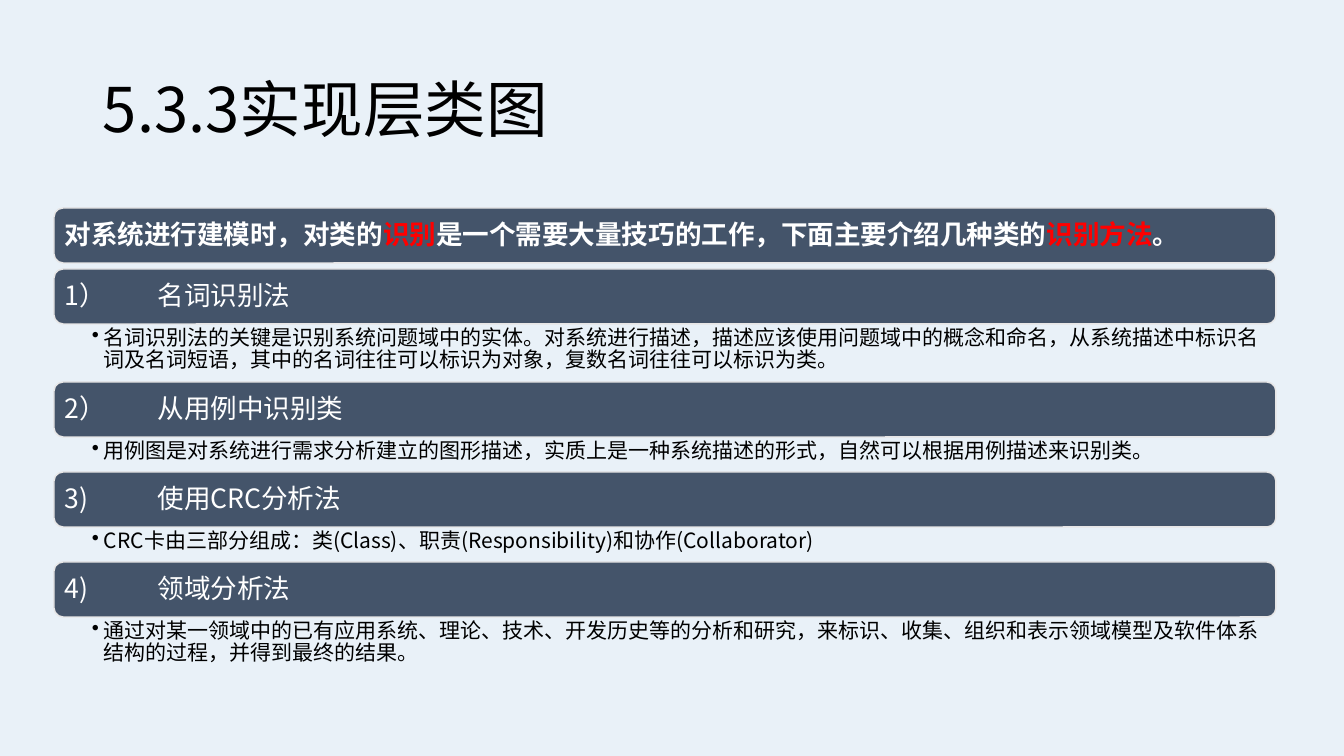
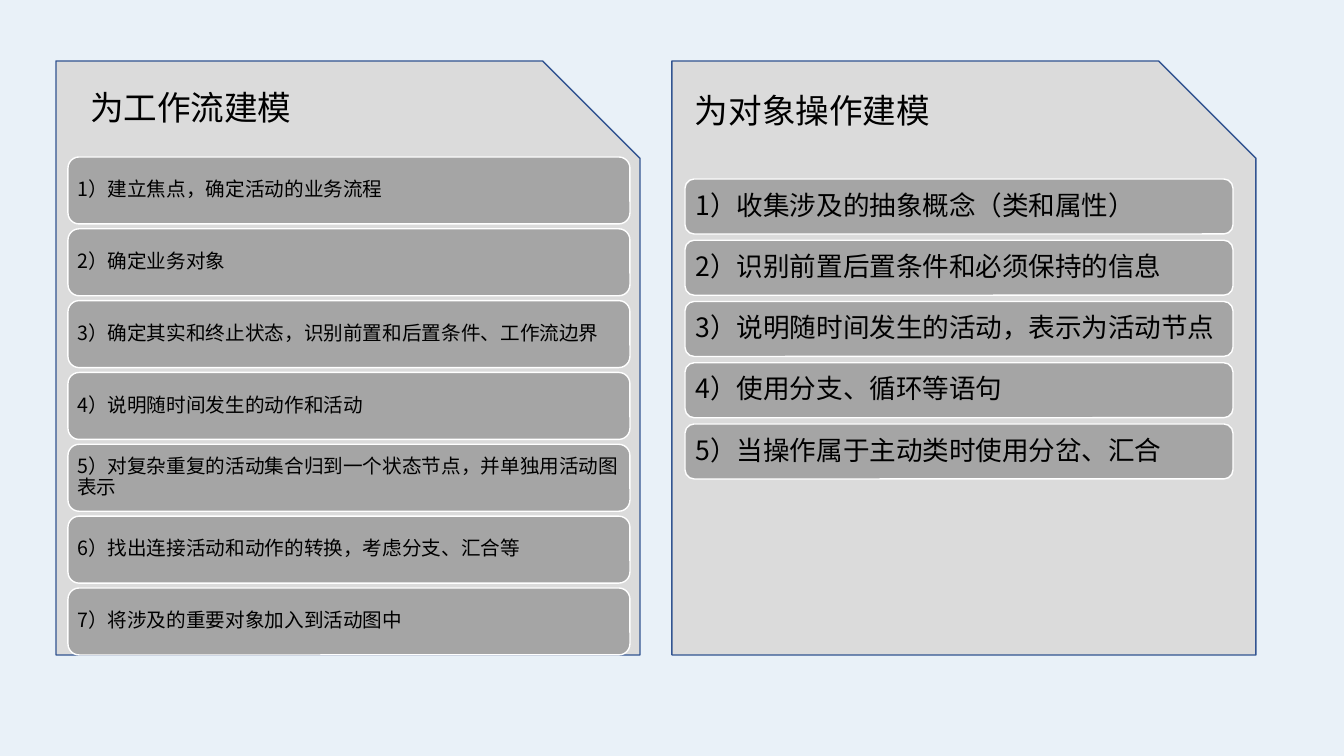
from lxml.etree import SubElement
from pptx import Presentation
from pptx.dml.color import RGBColor
from pptx.enum.shapes import MSO_SHAPE as Shape
from pptx.enum.text import MSO_ANCHOR as Anchor, PP_ALIGN as Align
from pptx.oxml.ns import qn
from pptx.util import Pt

# Content: a row is a list of (text, colour or None) spans
RED = RGBColor(0xFF, 0x00, 0x00)
TITLE = "5.3.3实现层类图"
LEAD = [
    ("对系统进行建模时，对类的", None),
    ("识别", RED),
    ("是一个需要大量技巧的工作，下面主要介绍几种类的", None),
    ("识别方法", RED),
    ("。", None),
]
METHODS = [  # heading, explanation, lines of explanation
    ("1）\t名词识别法",
     "名词识别法的关键是识别系统问题域中的实体。对系统进行描述，描述应该使用问题域中的概念和命名，"
     "从系统描述中标识名词及名词短语，其中的名词往往可以标识为对象，复数名词往往可以标识为类。", 2),
    ("2）\t从用例中识别类",
     "用例图是对系统进行需求分析建立的图形描述，实质上是一种系统描述的形式，"
     "自然可以根据用例描述来识别类。", 1),
    ("3)\t使用CRC分析法",
     "CRC卡由三部分组成：类(Class)、职责(Responsibility)和协作(Collaborator)", 1),
    ("4)\t领域分析法",
     "通过对某一领域中的已有应用系统、理论、技术、开发历史等的分析和研究，"
     "来标识、收集、组织和表示领域模型及软件体系结构的过程，并得到最终的结果。", 2),
]
PANELS = [
    dict(left=56, title="为工作流建模", title_box=(80, 82, 223, 50),
         row_left=68, row_width=562, row_height=67, first=157, last=588, size=14, inset=6,
         steps=["建立焦点，确定活动的业务流程", "确定业务对象",
                "确定其实和终止状态，识别前置和后置条件、工作流边界",
                "说明随时间发生的动作和活动",
                "对复杂重复的活动集合归到一个状态节点，并单独用活动图表示",
                "找出连接活动和动作的转换，考虑分支、汇合等", "将涉及的重要对象加入到活动图中"]),
    dict(left=672, title="为对象操作建模", title_box=(685, 85, 271, 50),
         row_left=685, row_width=548, row_height=55, first=179, last=424, size=19, inset=8,
         steps=["收集涉及的抽象概念（类和属性）", "识别前置后置条件和必须保持的信息",
                "说明随时间发生的活动，表示为活动节点", "使用分支、循环等语句",
                "当操作属于主动类时使用分岔、汇合"]),
]

# Shared look
FONT = "Noto Sans CJK SC"
BLACK = RGBColor(0x00, 0x00, 0x00)
WHITE = RGBColor(0xFF, 0xFF, 0xFF)
SKY = RGBColor(0xE9, 0xF1, 0xF8)
SLATE = RGBColor(0x44, 0x54, 0x6A)
PALE = RGBColor(0xE7, 0xE6, 0xE6)
SILVER = RGBColor(0xDB, 0xDB, 0xDB)
GRAY = RGBColor(0xA5, 0xA5, 0xA5)
NAVY = RGBColor(0x32, 0x54, 0x91)

SLIDE_W, SLIDE_H = 1344, 756
EMU_PER_PX = 12192000 / SLIDE_W

# Slide 1 layout
LIST_LEFT, LIST_TOP, LIST_WIDTH = 54, 208, 1222
BAR_H, BAR_GAP = 55, 6
NOTE_H = {1: 35, 2: 58}
TAB_STOP, BULLET_INDENT = 93, 12

# Slide 2 layout
PANEL_TOP, PANEL_W, PANEL_H = 61, 584, 594


def px(length):
    return round(length * EMU_PER_PX)


def new_page(deck):
    page = deck.slides.add_slide(deck.slide_layouts[6])
    page.background.fill.solid()
    page.background.fill.fore_color.rgb = SKY
    return page


def write(shape, spans, size, color=BLACK, bold=False, insets=(10, 5, 10, 5),
          anchor=Anchor.MIDDLE, spacing=0.9, wrap=True, tab=None, bullet=None):
    frame = shape.text_frame
    sides = ("margin_left", "margin_top", "margin_right", "margin_bottom")
    settings = dict(zip(sides, map(px, insets)), word_wrap=wrap, vertical_anchor=anchor)
    for name, value in settings.items():
        setattr(frame, name, value)
    para = frame.paragraphs[0]
    props = para._p.get_or_add_pPr()
    if bullet:
        props.set("marL", str(px(BULLET_INDENT)))
        props.set("indent", str(-px(BULLET_INDENT)))
        SubElement(props, qn("a:buChar"), char=bullet)
    if tab:
        stops = SubElement(props, qn("a:tabLst"))
        SubElement(stops, qn("a:tab"), pos=str(px(tab)), algn="l")
    para.alignment = Align.LEFT
    para.line_spacing = spacing
    for text, accent in spans:
        span = para.add_run()
        span.text = text
        for name, value in dict(name=FONT, size=Pt(size), bold=bold).items():
            setattr(span.font, name, value)
        span.font.color.rgb = accent or color
        SubElement(span._r.get_or_add_rPr(), qn("a:ea"), typeface=FONT)


def add_text(page, box, spans, size, **style):
    write(page.shapes.add_textbox(*map(px, box)), spans, size, **style)


def add_block(page, kind, box, fill, line):
    block = page.shapes.add_shape(kind, *map(px, box))
    block.shadow.inherit = False
    block.fill.solid()
    block.fill.fore_color.rgb = fill
    block.line.color.rgb = line
    block.line.width = Pt(1)
    return block


def add_bar(page, top, spans, **style):
    box = (LIST_LEFT, top, LIST_WIDTH, BAR_H)
    bar = add_block(page, Shape.ROUNDED_RECTANGLE, box, SLATE, PALE)
    write(bar, spans, 19, color=WHITE, insets=(8,) * 4, **style)


def build_methods(deck):
    page = new_page(deck)
    add_text(page, (93, 40, 1159, 146), [(TITLE, None)], 44)
    add_bar(page, LIST_TOP, LEAD, bold=True)
    top = LIST_TOP + BAR_H + BAR_GAP
    for heading, note, lines in METHODS:
        add_bar(page, top, [(heading, None)], tab=TAB_STOP)
        top += BAR_H
        add_text(page, (LIST_LEFT, top, LIST_WIDTH, NOTE_H[lines]), [(note, None)], 15,
                 insets=(38, 3, 15, 3), anchor=Anchor.TOP, bullet="•")
        top += NOTE_H[lines]


def build_panels(deck):
    page = new_page(deck)
    for panel in PANELS:
        add_block(page, Shape.SNIP_1_RECTANGLE,
                  (panel["left"], PANEL_TOP, PANEL_W, PANEL_H), SILVER, NAVY)
        add_text(page, panel["title_box"], [(panel["title"], None)], 24,
                 anchor=Anchor.TOP, spacing=1.0, wrap=False)
        # Rows spread evenly from the first top to the last
        pitch = (panel["last"] - panel["first"]) / (len(panel["steps"]) - 1)
        for index, step in enumerate(panel["steps"]):
            box = (panel["row_left"], panel["first"] + index * pitch,
                   panel["row_width"], panel["row_height"])
            row = add_block(page, Shape.ROUNDED_RECTANGLE, box, GRAY, WHITE)
            write(row, [(f"{index + 1}）{step}", None)], panel["size"],
                  insets=(panel["inset"],) * 4)


def main():
    deck = Presentation()
    deck.slide_width, deck.slide_height = px(SLIDE_W), px(SLIDE_H)
    build_methods(deck)
    build_panels(deck)
    deck.save("out.pptx")


if __name__ == "__main__":
    main()
